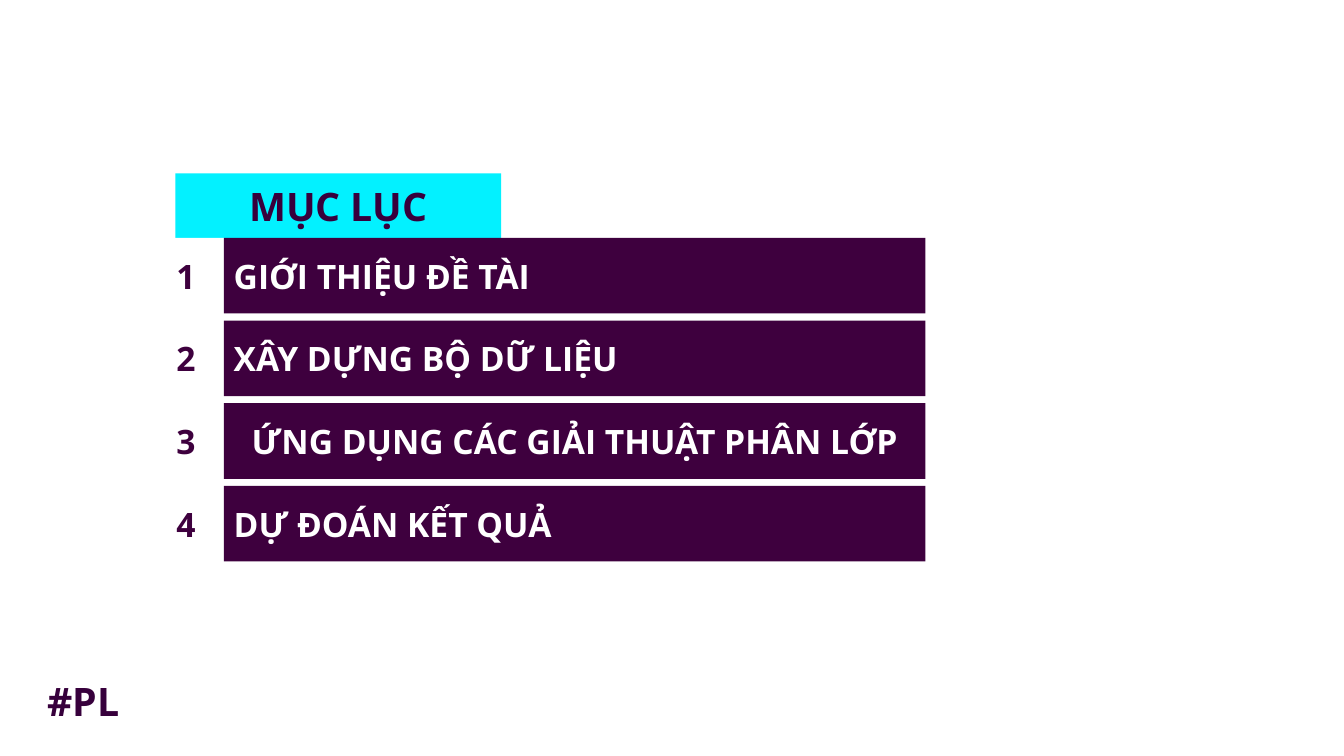
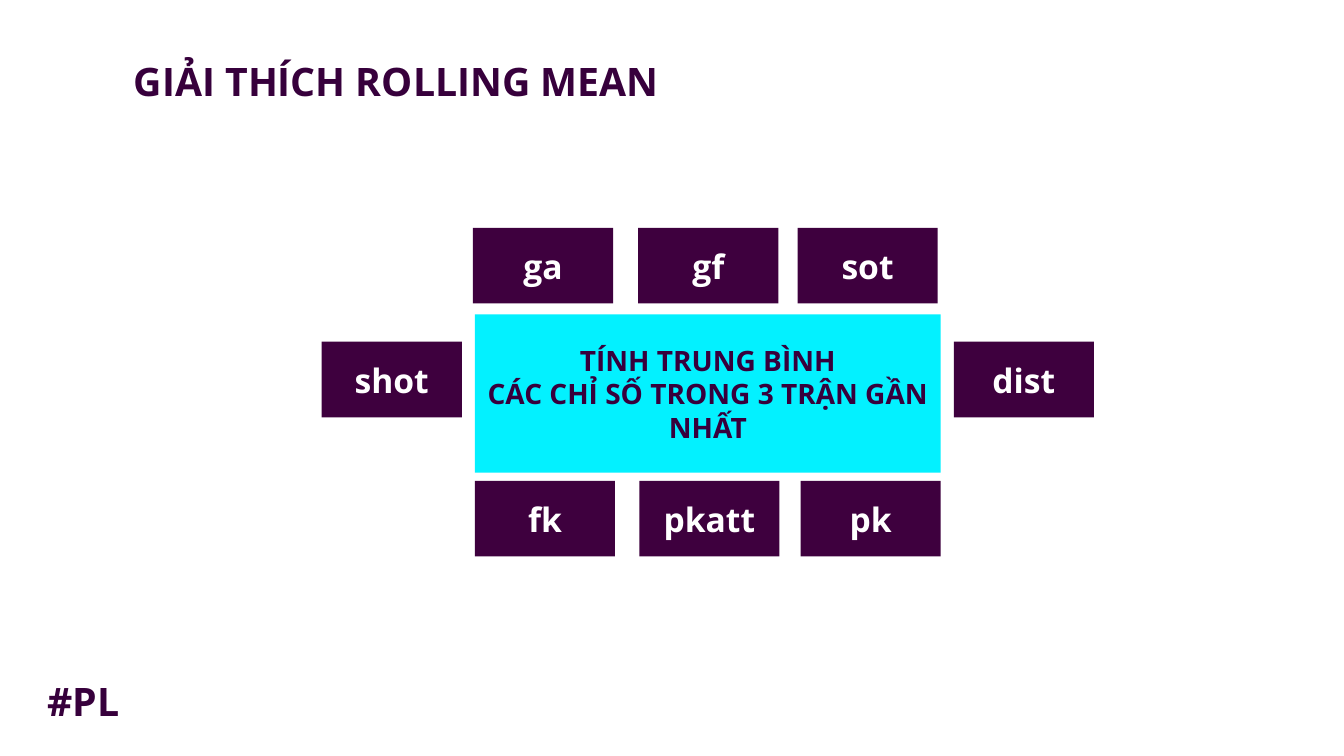
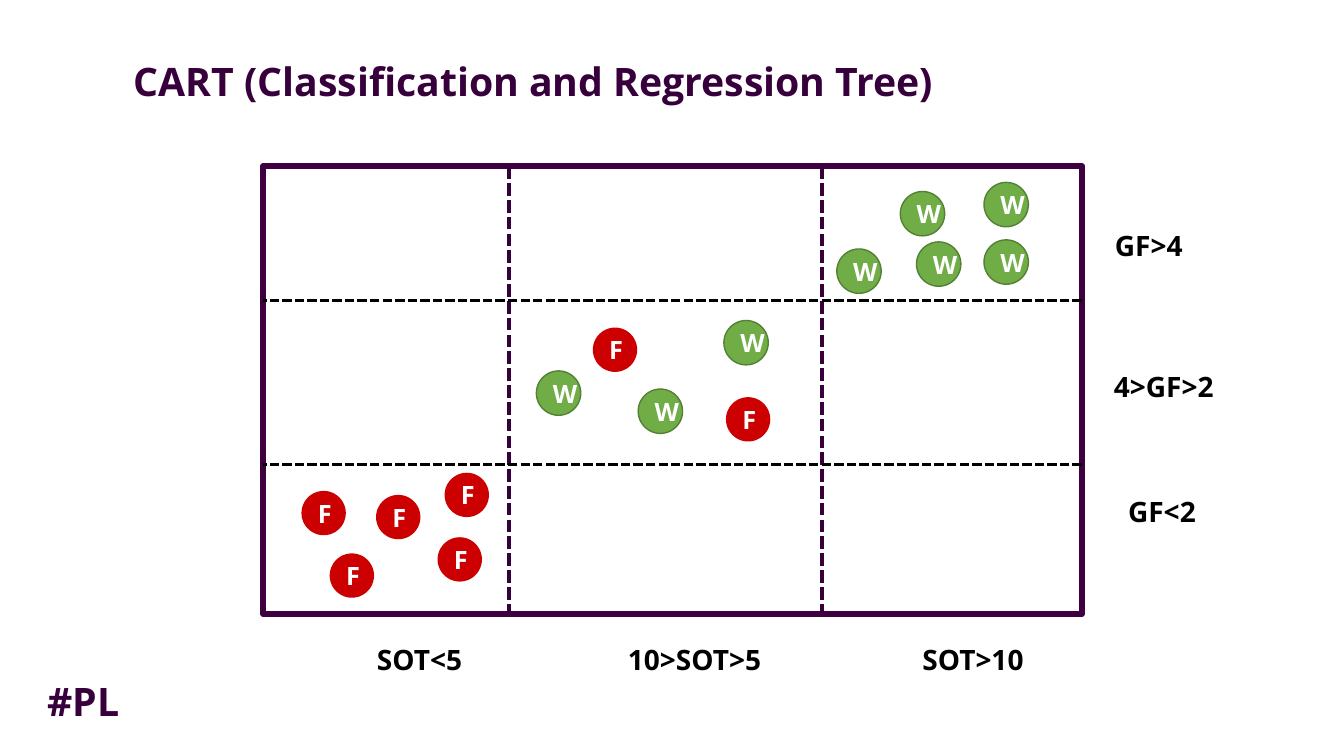
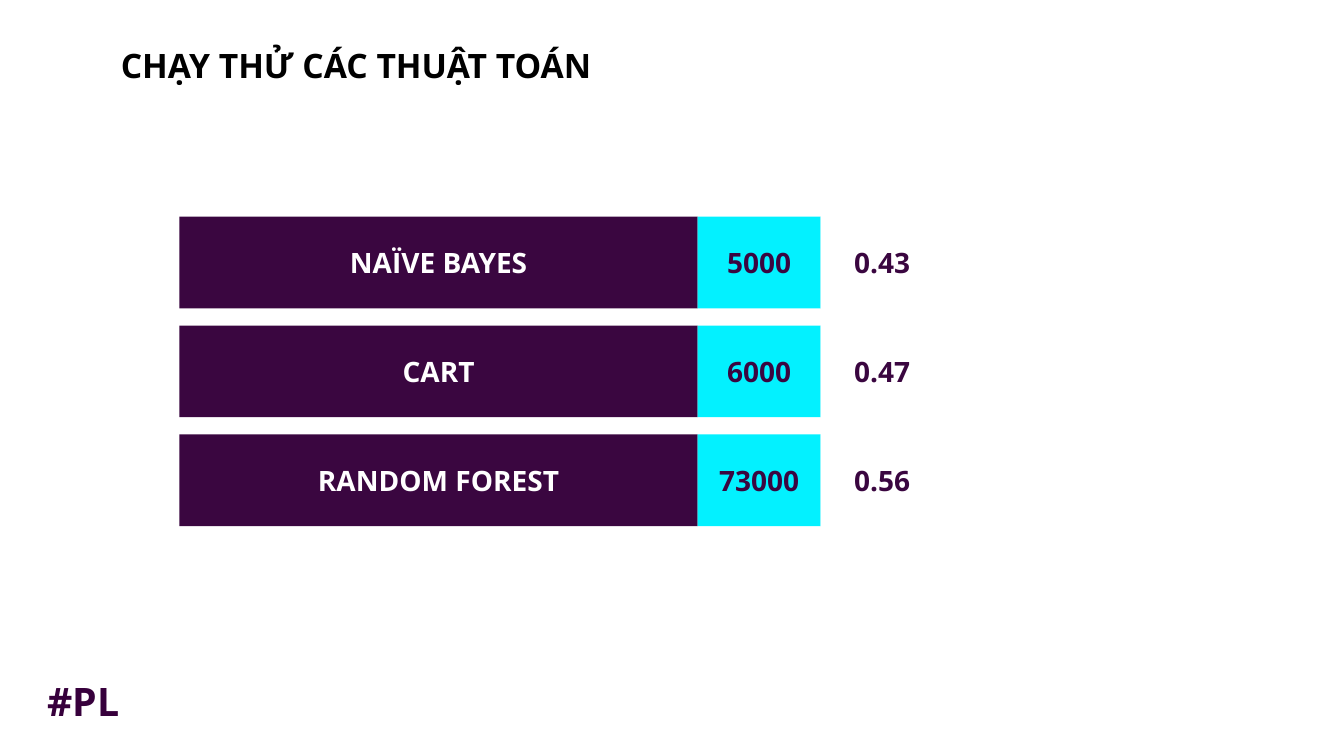
from pptx import Presentation
from pptx.dml.color import RGBColor
from pptx.enum.dml import MSO_LINE
from pptx.enum.shapes import MSO_CONNECTOR, MSO_SHAPE
from pptx.enum.text import MSO_ANCHOR, MSO_AUTO_SIZE, PP_ALIGN
from pptx.oxml.ns import qn
from pptx.util import Inches, Pt

RECT, OVAL = MSO_SHAPE.RECTANGLE, MSO_SHAPE.OVAL
STRAIGHT, DASH = MSO_CONNECTOR.STRAIGHT, MSO_LINE.SQUARE_DOT
LEFT, CENTER = PP_ALIGN.LEFT, PP_ALIGN.CENTER
TOP, MIDDLE = MSO_ANCHOR.TOP, MSO_ANCHOR.MIDDLE
GROW = MSO_AUTO_SIZE.SHAPE_TO_FIT_TEXT

INK, PLUM, GRAPE = "37003C", "3E003E", "3A0640"
CYAN, WHITE, BLACK = "03F1FF", "FFFFFF", "000000"
GREEN, DARK_GREEN, RED = "70AD47", "538035", "CC0000"


def rgb(value):
    return RGBColor.from_string(value)


def apply(target, values):
    for name, value in values.items():
        setattr(target, name, value)


class Deck:
    font = "Open Sans"

    def __init__(self):
        self.prs = Presentation()
        apply(self.prs, {"slide_width": Inches(13.33), "slide_height": Inches(7.5)})
        self.slide = None

    def new_slide(self, title=None):
        self.slide = self.prs.slides.add_slide(self.prs.slide_layouts[6])
        self.label("#PL", 0.37, 6.67, 1.1, 0.57, 28, INK)
        if title:
            self.label(title, 1.23, 0.52, 8.88, 0.57, 28, INK)

    def add_text(self, frame, text, size, color, align):
        for i, line in enumerate(text.split("\n")):
            paragraph = frame.add_paragraph() if i else frame.paragraphs[0]
            paragraph.alignment = align
            run = paragraph.add_run()
            run.text = line
            apply(run.font, {"name": self.font, "size": Pt(size), "bold": True})
            run.font.color.rgb = rgb(color)

    def label(self, text, x, y, w, h, size, color, wrap=True):
        box = self.slide.shapes.add_textbox(Inches(x), Inches(y), Inches(w), Inches(h))
        frame = box.text_frame
        apply(frame, {"word_wrap": wrap, "auto_size": GROW, "vertical_anchor": TOP})
        self.add_text(frame, text, size, color, LEFT)

    def box(self, x, y, w, h, text="", fill=None, size=24, color=WHITE,
            align=CENTER, kind=RECT, line=None, line_width=1):
        shape = self.slide.shapes.add_shape(
            kind, Inches(x), Inches(y), Inches(w), Inches(h))
        shape.shadow.inherit = False
        if fill:
            shape.fill.solid()
            shape.fill.fore_color.rgb = rgb(fill)
        else:
            shape.fill.background()
        if line:
            shape.line.color.rgb = rgb(line)
            shape.line.width = Pt(line_width)
        else:
            shape.line.fill.background()
        if text:
            apply(shape.text_frame, {"word_wrap": True, "vertical_anchor": MIDDLE})
            self.add_text(shape.text_frame, text, size, color, align)

    def dashed_line(self, x1, y1, x2, y2, color, width):
        line = self.slide.shapes.add_connector(
            STRAIGHT, Inches(x1), Inches(y1), Inches(x2), Inches(y2))
        line.line.color.rgb = rgb(color)
        apply(line.line, {"width": Pt(width), "dash_style": DASH})
        properties = line._element.spPr
        properties.append(properties.makeelement(qn("a:effectLst"), {}))


def contents(deck):
    deck.new_slide()
    deck.box(1.74, 1.72, 3.23, 0.64, "MỤC LỤC", CYAN, 28, INK)
    chapters = [
        ("GIỚI THIỆU ĐỀ TÀI", LEFT),
        ("XÂY DỰNG BỘ DỮ LIỆU", LEFT),
        ("ỨNG DỤNG CÁC GIẢI THUẬT PHÂN LỚP", CENTER),
        ("DỰ ĐOÁN KẾT QUẢ", LEFT),
    ]
    for i, (chapter, align) in enumerate(chapters):
        y = 2.36 + 0.82 * i
        deck.box(1.47, y, 0.75, 0.75, str(i + 1), WHITE, color=PLUM)
        deck.box(2.22, y, 6.96, 0.75, chapter, PLUM, align=align)


def rolling_mean(deck):
    deck.new_slide("GIẢI THÍCH ROLLING MEAN")
    # Match statistics around the central box
    statistic_rows = {
        2.26: {"ga": 4.69, "gf": 6.33, "sot": 7.91},
        3.39: {"shot": 3.19, "dist": 9.46},
        4.77: {"fk": 4.71, "pkatt": 6.34, "pk": 7.94},
    }
    for y, statistics in statistic_rows.items():
        for name, x in statistics.items():
            deck.box(x, y, 1.39, 0.75, name, PLUM)
    deck.box(4.71, 3.12, 4.62, 1.57,
             "TÍNH TRUNG BÌNH\nCÁC CHỈ SỐ TRONG 3 TRẬN GẦN NHẤT", CYAN, 20, INK)


def cart(deck):
    deck.new_slide("CART (Classification and Regression Tree)")
    # Axis ranges
    for text, x, y in [
        ("SOT<5", 3.64, 6.32), ("10>SOT>5", 6.13, 6.32), ("SOT>10", 9.05, 6.33),
        ("GF<2", 11.09, 4.86), ("4>GF>2", 10.95, 3.62), ("GF>4", 10.96, 2.22),
    ]:
        deck.label(text, x, y, 1.7, 0.44, 20, BLACK)

    # Frame and split lines
    left, top, width, height = 2.61, 1.65, 8.12, 4.44
    deck.box(left, top, width, height, line=PLUM, line_width=4.5)
    for x in (5.05, 8.15):
        deck.dashed_line(x, top, x, top + height, INK, 3)
    for y in (2.98, 4.61):
        deck.dashed_line(left + width, y, left, y, BLACK, 2.25)

    # Wins and failures
    results = {
        "W": (GREEN, DARK_GREEN, [
            (9.76, 2.38), (8.93, 1.9), (8.3, 2.47), (9.76, 1.81),
            (9.09, 2.4), (7.18, 3.18), (6.33, 3.86), (5.32, 3.68)]),
        "F": (RED, None, [
            (2.99, 4.87), (4.41, 4.69), (3.27, 5.49), (4.34, 5.33),
            (3.73, 4.91), (5.88, 3.25), (7.2, 3.94)]),
    }
    for letter, (fill, outline, places) in results.items():
        for x, y in places:
            deck.box(x, y, 0.44, 0.44, letter, fill, 18, kind=OVAL, line=outline)


def trial_runs(deck):
    deck.new_slide()
    deck.label("CHẠY THỬ CÁC THUẬT TOÁN", 1.1, 0.4, 4.98, 0.5, 24, BLACK, wrap=False)
    algorithms = [
        ("NAÏVE BAYES", "5000", "0.43"),
        ("CART", "6000", "0.47"),
        ("RANDOM FOREST", "73000", "0.56"),
    ]
    for i, (algorithm, samples, score) in enumerate(algorithms):
        y = 2.15 + 1.08 * i
        deck.box(1.78, y, 5.14, 0.91, algorithm, GRAPE, 20)
        deck.box(6.92, y, 1.22, 0.91, samples, CYAN, 20, GRAPE)
        deck.box(8.14, y, 1.22, 0.91, score, WHITE, 20, GRAPE)


def main():
    deck = Deck()
    for build in (contents, rolling_mean, cart, trial_runs):
        build(deck)
    deck.prs.save("out.pptx")


if __name__ == "__main__":
    main()
